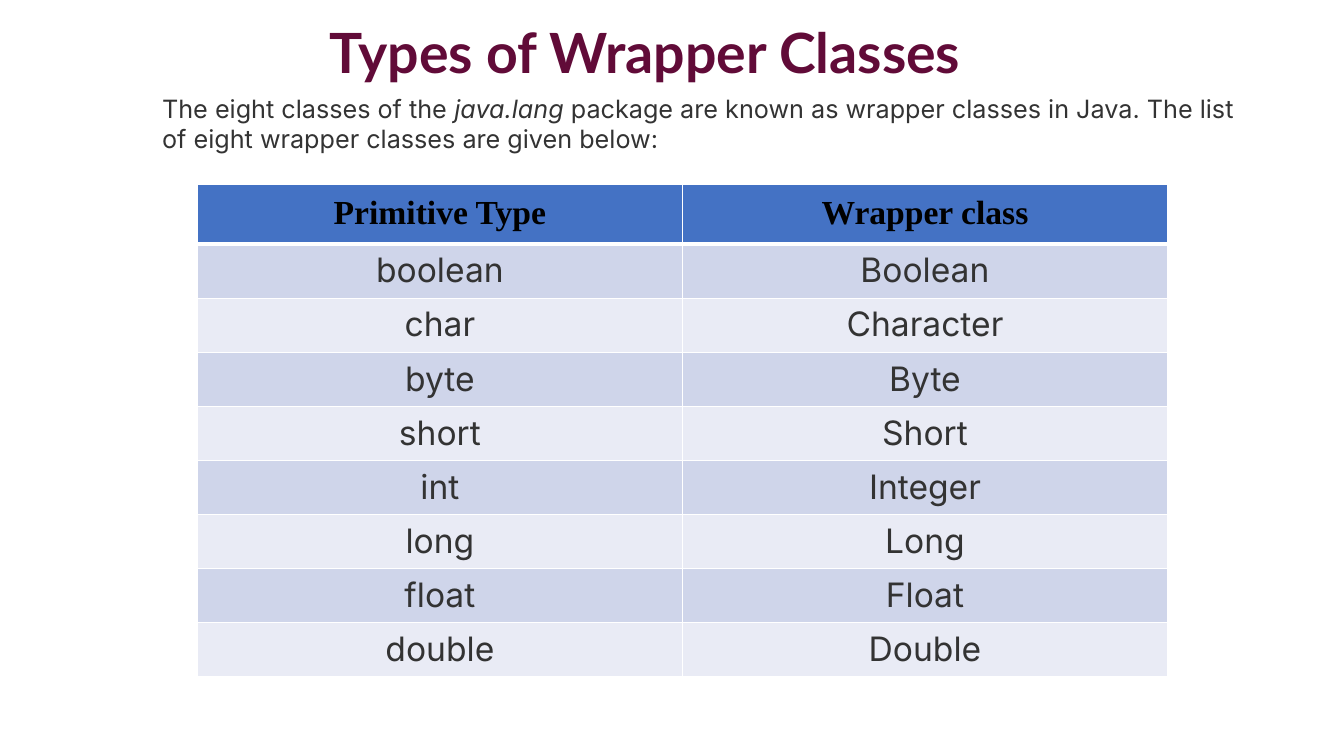
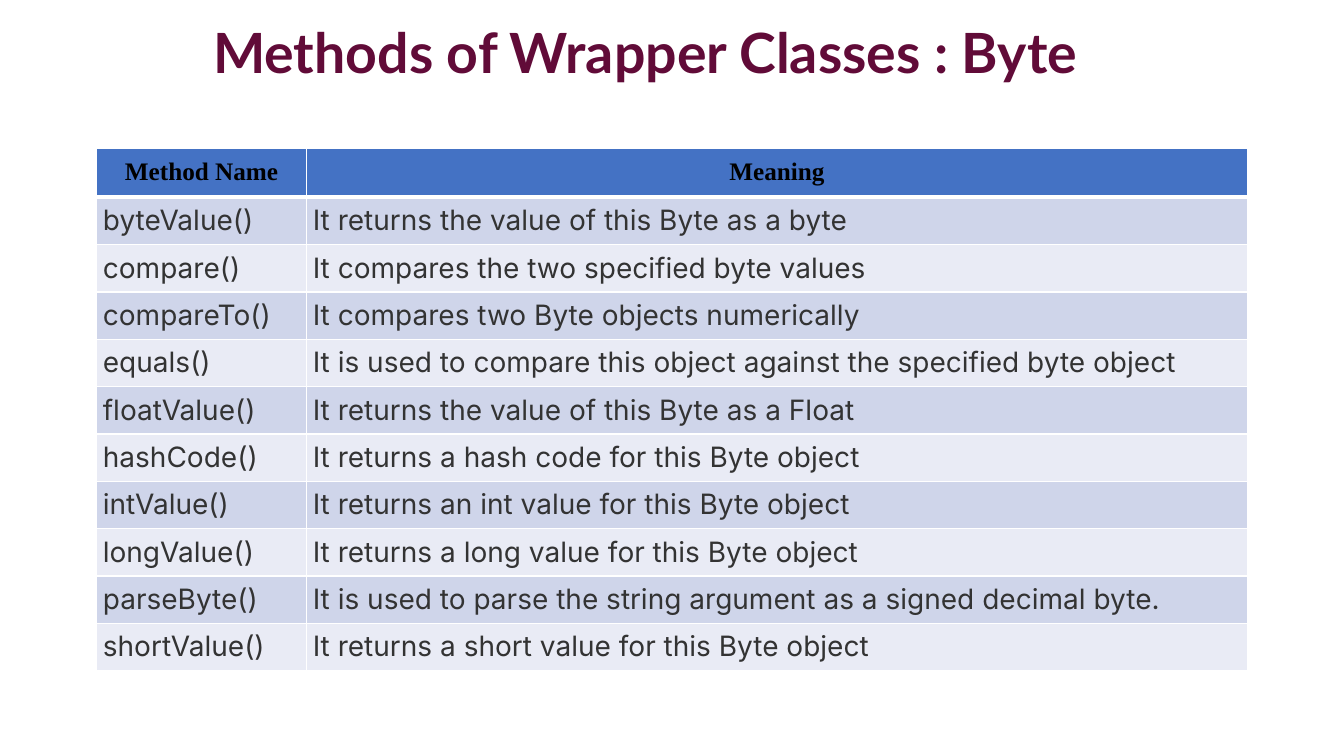
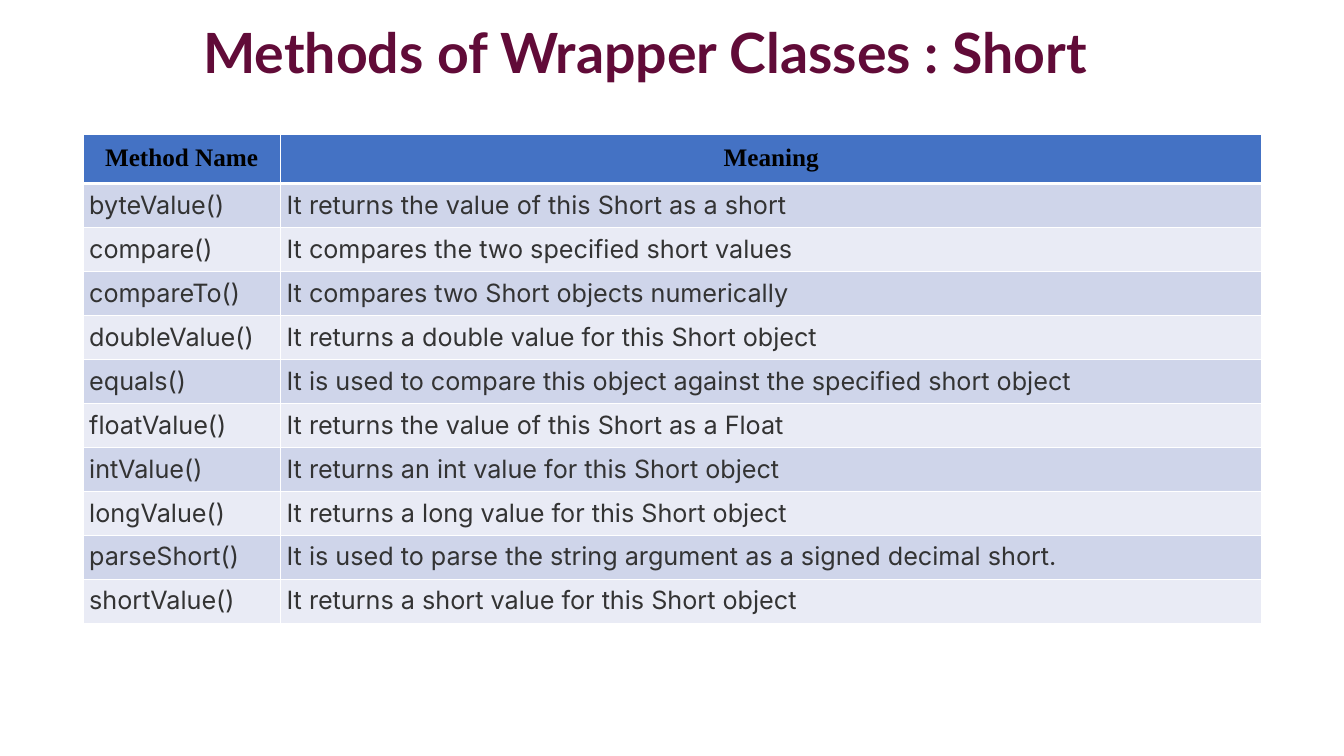
"""Build three slides about the Java wrapper classes and their methods."""
from lxml import etree
from pptx import Presentation
from pptx.dml.color import RGBColor
from pptx.enum.text import MSO_ANCHOR, MSO_AUTO_SIZE, PP_ALIGN
from pptx.oxml.ns import qn
from pptx.util import Pt

PX = 9525
LEFT, CENTER, JUSTIFY = PP_ALIGN.LEFT, PP_ALIGN.CENTER, PP_ALIGN.JUSTIFY
MIDDLE = MSO_ANCHOR.MIDDLE
GROW = MSO_AUTO_SIZE.SHAPE_TO_FIT_TEXT

TITLE_COLOR = "610B38"
BODY_COLOR = "333333"
HEADER_COLOR = "000000"
HEADER_FILL = "4472C4"
BAND_FILLS = ["E9EBF5", "CFD5EA"]
BORDER_COLOR = "FFFFFF"
TITLE_FONT, BODY_FONT, HEADER_FONT = "Lato", "Inter", "Times New Roman"

PRIMITIVE_ROWS = [
    ("Primitive Type", "Wrapper class"),
    ("boolean", "Boolean"),
    ("char", "Character"),
    ("byte", "Byte"),
    ("short", "Short"),
    ("int", "Integer"),
    ("long", "Long"),
    ("float", "Float"),
    ("double", "Double"),
]
METHOD_ROWS = [
    ("Method Name", "Meaning"),
    ("byteValue()", "It returns the value of this {name} as a {primitive}"),
    ("compare()", "It compares the two specified {primitive} values"),
    ("compareTo()", "It compares two {name} objects numerically"),
    ("doubleValue()", "It returns a double value for this {name} object"),
    ("equals()", "It is used to compare this object against the specified {primitive} object"),
    ("floatValue()", "It returns the value of this {name} as a Float"),
    ("hashCode()", "It returns a hash code for this {name} object"),
    ("intValue()", "It returns an int value for this {name} object"),
    ("longValue()", "It returns a long value for this {name} object"),
    ("parse{name}()", "It is used to parse the string argument as a signed decimal {primitive}."),
    ("shortValue()", "It returns a short value for this {name} object"),
]
byte_rows, short_rows = [
    [
        [text.format(name=name, primitive=name.lower()) for text in row]
        for row in METHOD_ROWS
        if row[0] != omitted
    ]
    for name, omitted in [("Byte", "doubleValue()"), ("Short", "hashCode()")]
]

SLIDES = [
    {
        "title": "Types of Wrapper Classes", "rows": PRIMITIVE_ROWS,
        "box": (188, 176, 467), "columns": (462, 462), "header_height": 55,
        "sizes": (24, 24), "alignments": (CENTER, CENTER),
    },
    {
        "title": "Methods of Wrapper Classes : Byte", "rows": byte_rows,
        "box": (92, 141, 496), "columns": (200, 896), "header_height": 45,
        "sizes": (18, 20), "alignments": (LEFT, JUSTIFY),
    },
    {
        "title": "Methods of Wrapper Classes : Short", "rows": short_rows,
        "box": (79, 128, 464), "columns": (188, 935), "header_height": 45,
        "sizes": (18, 18), "alignments": (JUSTIFY, JUSTIFY),
    },
]
INTRO = [
    ("The eight classes of the ", False),
    ("java.lang", True),
    (" package are known as wrapper classes in Java. "
     "The list of eight wrapper classes are given below:", False),
]


def color(value):
    return RGBColor.from_string(value)


def format_run(run, font, size, value, bold=False, italic=False):
    run.font.name = font
    run.font.size = Pt(size)
    run.font.color.rgb = color(value)
    run.font.bold = bold
    run.font.italic = italic


presentation = Presentation()
presentation.slide_width = 1280 * PX
presentation.slide_height = 720 * PX
blank_layout = presentation.slide_layouts[6]

for content in SLIDES:
    slide = presentation.slides.add_slide(blank_layout)
    title = slide.shapes.add_textbox(40 * PX, 17 * PX, 1149 * PX, 71 * PX)
    title.text_frame.word_wrap = True
    title.text_frame.vertical_anchor = MIDDLE
    title.text_frame.text = content["title"]
    paragraph = title.text_frame.paragraphs[0]
    paragraph.alignment = CENTER
    paragraph.line_spacing = 0.9
    format_run(paragraph.runs[0], TITLE_FONT, 39.6, TITLE_COLOR, bold=True)

    rows, columns = content["rows"], content["columns"]
    left, top, height = content["box"]
    header_height = content["header_height"]
    table = slide.shapes.add_table(
        len(rows), len(columns), left * PX, top * PX, sum(columns) * PX, height * PX
    ).table
    for column, width in zip(table.columns, columns):
        column.width = width * PX
    for row in table.rows:
        row.height = (height - header_height) * PX // (len(rows) - 1)
    table.rows[0].height = header_height * PX

    for row_index, texts in enumerate(rows):
        is_header = row_index == 0
        for column_index, text in enumerate(texts):
            cell = table.cell(row_index, column_index)
            inset = (9 if is_header else 6) * PX
            cell.margin_left = cell.margin_right = inset
            cell.margin_top = cell.margin_bottom = inset
            cell_properties = cell._tc.get_or_add_tcPr()
            border_widths = {
                "a:lnL": 1,
                "a:lnR": 1,
                "a:lnT": 3 if row_index == 1 else 1,
                "a:lnB": 3 if is_header else 1,
            }
            for tag, width in border_widths.items():
                line = etree.SubElement(cell_properties, qn(tag), w=str(Pt(width)))
                line_fill = etree.SubElement(line, qn("a:solidFill"))
                etree.SubElement(line_fill, qn("a:srgbClr"), val=BORDER_COLOR)
            cell.fill.solid()
            cell.fill.fore_color.rgb = color(
                HEADER_FILL if is_header else BAND_FILLS[row_index % 2]
            )
            cell.text_frame.text = text
            paragraph = cell.text_frame.paragraphs[0]
            run = paragraph.runs[0]
            header_size, body_size = content["sizes"]
            if is_header:
                paragraph.alignment = CENTER
                format_run(run, HEADER_FONT, header_size, HEADER_COLOR, bold=True)
            else:
                paragraph.alignment = content["alignments"][column_index]
                format_run(run, BODY_FONT, body_size, BODY_COLOR)

intro = presentation.slides[0].shapes.add_textbox(145 * PX, 84 * PX, 1052 * PX, 68 * PX)
intro.text_frame.word_wrap = True
intro.text_frame.auto_size = GROW
for text, italic in INTRO:
    run = intro.text_frame.paragraphs[0].add_run()
    run.text = text
    format_run(run, BODY_FONT, 18, BODY_COLOR, italic=italic)

presentation.save("out.pptx")
